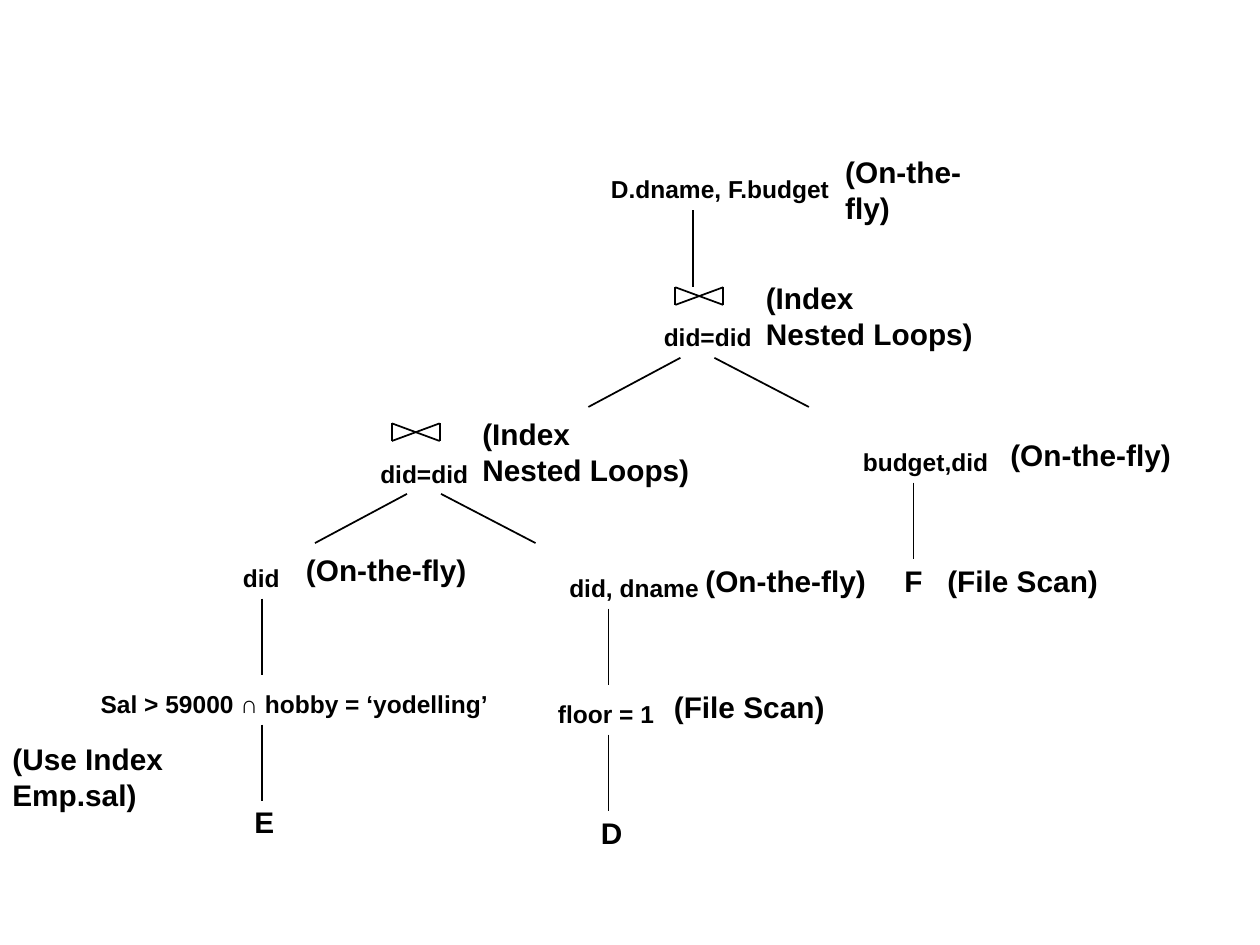
from dataclasses import dataclass

import lxml.etree
import pptx
import pptx.dml.color
import pptx.enum.shapes
import pptx.enum.text
import pptx.oxml.ns
import pptx.util
from pptx.util import Inches

BLACK = "000000"
OPERATOR_SIZE, METHOD_SIZE = 14, 17
STEM_LENGTH = 0.61
BOWTIE_WIDTH, BOWTIE_HEIGHT = 0.38, 0.14


@dataclass
class Label:
    text: str
    left: float
    top: float
    width: float
    height: float
    size: int = METHOD_SIZE
    wrap: bool = False


@dataclass
class Join:
    left: float
    top: float
    branch_left: float


def color(value: str) -> pptx.dml.color.RGBColor:
    return pptx.dml.color.RGBColor.from_string(value)


def draw_line(page, x1: float, y1: float, x2: float, y2: float) -> None:
    line = page.shapes.add_connector(
        pptx.enum.shapes.MSO_CONNECTOR.STRAIGHT,
        Inches(x1), Inches(y1), Inches(x2), Inches(y2))
    line.line.color.rgb = color(BLACK)
    line.line.width = pptx.util.Pt(1)
    lxml.etree.SubElement(line._element.spPr, pptx.oxml.ns.qn("a:effectLst"))


def draw_label(page, label: Label) -> None:
    box = page.shapes.add_textbox(Inches(label.left), Inches(label.top),
                                  Inches(label.width), Inches(label.height))
    frame = box.text_frame
    frame.word_wrap = label.wrap
    frame.auto_size = pptx.enum.text.MSO_AUTO_SIZE.SHAPE_TO_FIT_TEXT
    frame.text = label.text
    font_format = {"name": "Arial", "size": pptx.util.Pt(label.size), "bold": True}
    for para in frame.paragraphs:
        for span in para.runs:
            for name, value in font_format.items():
                setattr(span.font, name, value)
            span.font.color.rgb = color(BLACK)


def draw_join(page, join: Join) -> None:
    # Bowtie symbol
    left, top = join.left, join.top
    right, bottom = left + BOWTIE_WIDTH, top + BOWTIE_HEIGHT
    draw_line(page, left, top, left, bottom)
    draw_line(page, right, top, right, bottom)
    draw_line(page, left, top, right, bottom)
    draw_line(page, left, bottom, right, top)

    # Branches to the two inputs
    branch_top, branch_bottom = top + 0.56, top + 0.95
    start = join.branch_left
    draw_line(page, start, branch_bottom, start + 0.73, branch_top)
    draw_line(page, start + 1, branch_top, start + 1.75, branch_bottom)

    # Condition and method
    draw_label(page, Label("did=did", left - 0.19, top + 0.23, 0.9, 0.33, OPERATOR_SIZE))
    draw_label(page, Label("(Index\nNested Loops)", left + 0.62, top - 0.11, 1.86, 0.67))


JOINS = [Join(5.36, 2.28, 4.67), Join(3.11, 3.36, 2.5)]

# Left and top of each vertical link
STEMS = [(5.5, 1.67), (7.25, 3.83), (2.08, 4.75), (2.08, 5.75), (4.83, 4.83), (4.83, 5.83)]

OPERATORS = [
    Label("D.dname, F.budget", 4.75, 1.33, 1.94, 0.33, OPERATOR_SIZE),
    Label("budget,did", 6.75, 3.5, 1.2, 0.33, OPERATOR_SIZE),
    Label("did", 1.83, 4.42, 0.49, 0.33, OPERATOR_SIZE),
    Label("did, dname", 4.42, 4.5, 1.23, 0.33, OPERATOR_SIZE),
    Label("Sal > 59000 ∩ hobby = ‘yodelling’", 0.7, 5.42, 3.38, 0.33, OPERATOR_SIZE),
    Label("floor = 1", 4.33, 5.5, 0.97, 0.33, OPERATOR_SIZE),
]

RELATIONS = [
    Label("E", 1.92, 6.33, 0.36, 0.38),
    Label("D", 4.67, 6.42, 0.37, 0.38),
    Label("F", 7.08, 4.42, 0.35, 0.38),
]

METHODS = [
    Label("(On-the-fly)", 6.61, 1.17, 1.45, 0.67, wrap=True),
    Label("(On-the-fly)", 7.92, 3.42, 1.48, 0.38),
    Label("(On-the-fly)", 5.5, 4.42, 1.48, 0.38),
    Label("(On-the-fly)", 2.33, 4.33, 1.48, 0.38),
    Label("(File Scan)", 5.25, 5.42, 1.41, 0.38),
    Label("(File Scan)", 7.42, 4.42, 1.41, 0.38),
    Label("(Use Index\nEmp.sal)", 0, 5.83, 1.47, 0.67),
]


def main() -> None:
    deck = pptx.Presentation()
    deck.slide_width, deck.slide_height = Inches(10), Inches(7.5)
    page = deck.slides.add_slide(deck.slide_layouts[6])

    # Query plan tree
    for join in JOINS:
        draw_join(page, join)
    for x, top in STEMS:
        draw_line(page, x, top, x, top + STEM_LENGTH)
    for label in OPERATORS + RELATIONS + METHODS:
        draw_label(page, label)

    deck.save("out.pptx")


if __name__ == "__main__":
    main()
